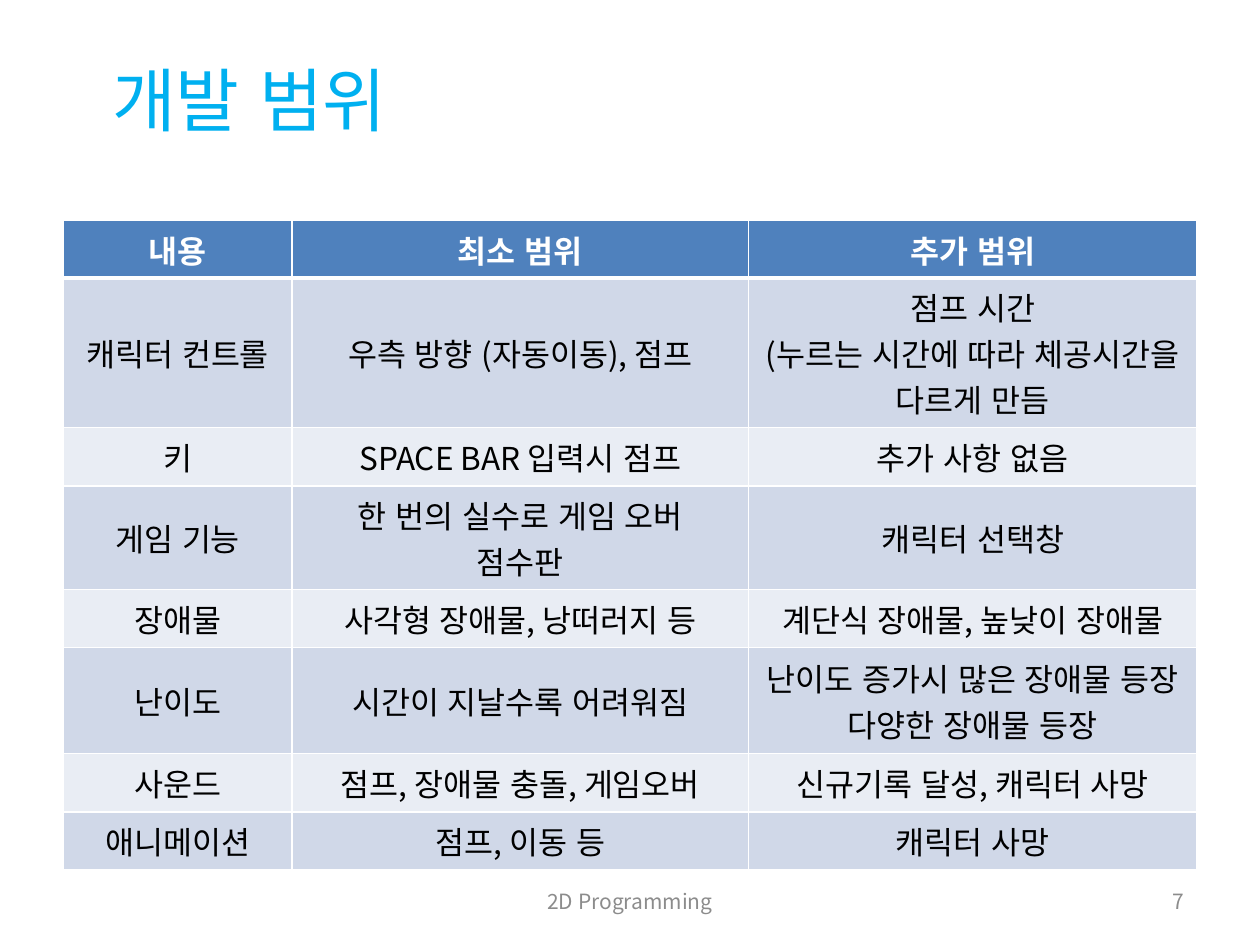
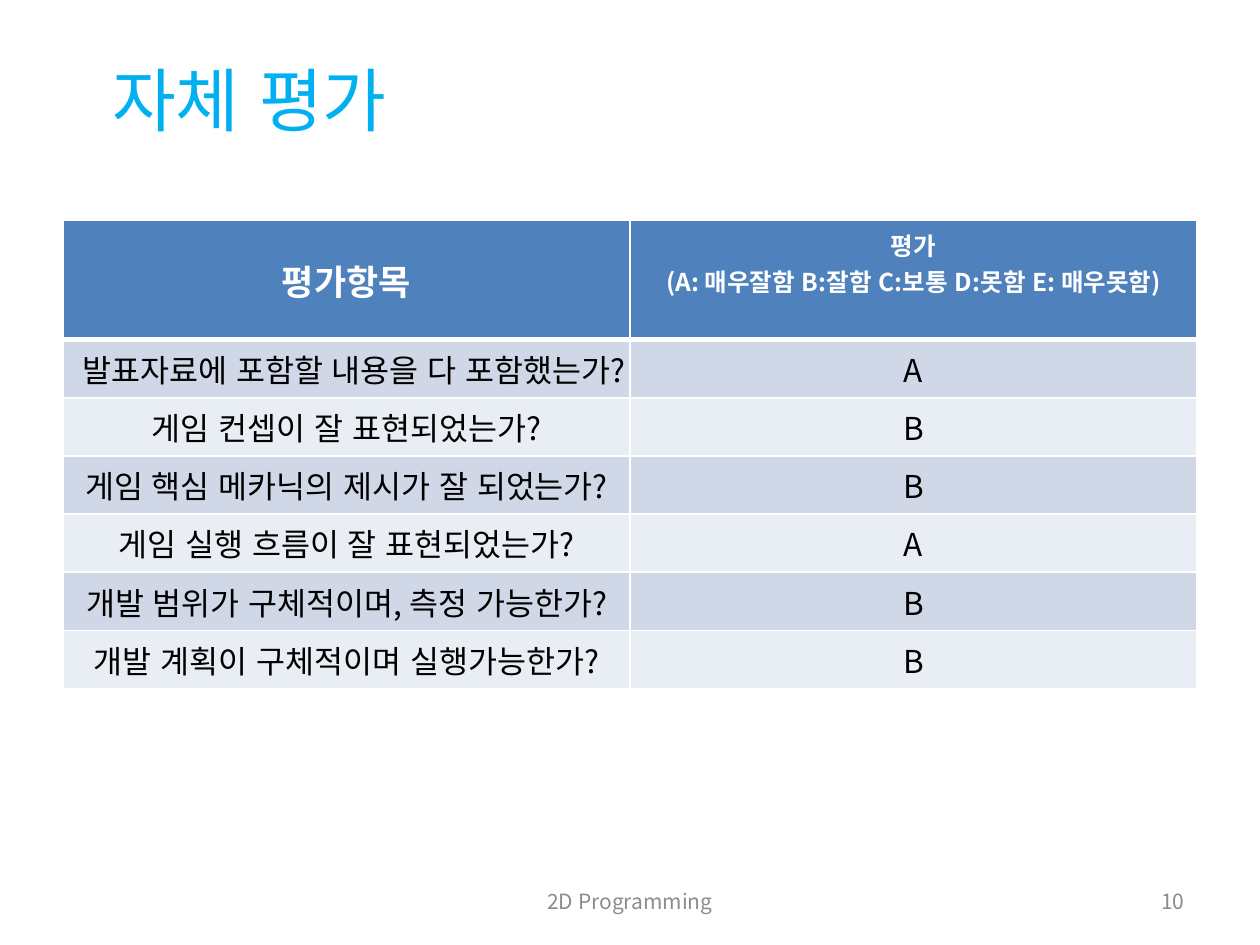
from dataclasses import dataclass

from pptx import Presentation, util as u
from pptx.dml import color
from pptx.enum import lang, text
from pptx.oxml import parse_xml
from pptx.oxml import ns

Pt = u.Pt
LEFT, CENTER, RIGHT = text.PP_ALIGN.LEFT, text.PP_ALIGN.CENTER, text.PP_ALIGN.RIGHT
MIDDLE, TOP = text.MSO_ANCHOR.MIDDLE, text.MSO_ANCHOR.TOP


@dataclass(frozen=True)
class Theme:
    font: str = "Noto Sans CJK KR"
    title: str = "00B0F0"
    footer: str = "8C8C8C"
    header: str = "4F81BD"
    bands: tuple = ("D0D8E8", "E9EDF4")
    white: str = "FFFFFF"
    black: str = "000000"
    title_size: float = 39.6
    body_size: float = 18
    footer_size: float = 12


theme = Theme()


def write(tf, lines, size=theme.body_size, fill=theme.black, bold=False, align=CENTER):
    """Write one paragraph for each line of text."""
    tf.word_wrap = True
    for i, line in enumerate(lines.split("\n")):
        p = tf.paragraphs[0] if i == 0 else tf.add_paragraph()
        p.alignment = align
        r = p.add_run()
        r.text = line
        r.font.name, r.font.size, r.font.bold = theme.font, Pt(size), bold
        r.font.language_id = lang.MSO_LANGUAGE_ID.KOREAN
        r.font.color.rgb = color.RGBColor.from_string(fill)
        # East Asian typeface, for the Hangul
        r.font._element.append(parse_xml(f'<a:ea {ns.nsdecls("a")} typeface="{theme.font}"/>'))


def borders(cell, **widths):
    """Draw white cell borders; call before the cell is filled."""
    tc_pr = cell._tc.get_or_add_tcPr()
    for side in "LRTB":
        tc_pr.append(parse_xml(
            f'<a:ln{side} {ns.nsdecls("a")} w="{Pt(widths.get(side, 1))}"><a:solidFill>'
            f'<a:srgbClr val="{theme.white}"/></a:solidFill></a:ln{side}>'))


# Slide content; header sizes are one per column
slides = [
    dict(
        title="개발 범위", number="7", cols=[131, 260.7, 256.3], margin=8.5,
        heights=[32.8, 85.6, 33.3, 59.2, 33.3, 60.5, 33.3, 33.2],
        header_sizes=[18, 18, 18], anchor=MIDDLE,
        rows=[
            ("내용", "최소 범위", "추가 범위"),
            ("캐릭터 컨트롤", "우측 방향 (자동이동), 점프",
             "점프 시간\n(누르는 시간에 따라 체공시간을 다르게 만듬"),
            ("키", "SPACE BAR 입력시 점프", "추가 사항 없음"),
            ("게임 기능", "한 번의 실수로 게임 오버\n점수판", "캐릭터 선택창"),
            ("장애물", "사각형 장애물, 낭떠러지 등", "계단식 장애물, 높낮이 장애물"),
            ("난이도", "시간이 지날수록 어려워짐",
             "난이도 증가시 많은 장애물 등장\n다양한 장애물 등장"),
            ("사운드", "점프, 장애물 충돌, 게임오버", "신규기록 달성, 캐릭터 사망"),
            ("애니메이션", "점프, 이동 등", "캐릭터 사망"),
        ]),
    dict(
        title="자체 평가", number="10", cols=[324, 324], margin=7.2,
        heights=[68.2] + [33.2] * 6, header_sizes=[20, 14], anchor=TOP,
        rows=[
            ("평가항목", "평가\n(A: 매우잘함 B:잘함 C:보통 D:못함 E: 매우못함)"),
            ("발표자료에 포함할 내용을 다 포함했는가?", "A"),
            ("게임 컨셉이 잘 표현되었는가?", "B"),
            ("게임 핵심 메카닉의 제시가 잘 되었는가?", "B"),
            ("게임 실행 흐름이 잘 표현되었는가?", "A"),
            ("개발 범위가 구체적이며, 측정 가능한가?", "B"),
            ("개발 계획이 구체적이며 실행가능한가?", "B"),
        ]),
]

prs = Presentation()
prs.slide_width, prs.slide_height = Pt(720), Pt(540)

for content in slides:
    s = prs.slides.add_slide(prs.slide_layouts[6])

    # Title, footer and slide number
    title_format = dict(size=theme.title_size, fill=theme.title, align=LEFT)
    footer_format = dict(size=theme.footer_size, fill=theme.footer)
    for label, box, style in [
        (content["title"], (57, 28, 648, 57), title_format),
        ("2D Programming", (246, 500.5, 228, 28.75), footer_format),
        (content["number"], (516, 500.5, 168, 28.75), dict(footer_format, align=RIGHT)),
    ]:
        tf = s.shapes.add_textbox(*map(Pt, box)).text_frame
        tf.vertical_anchor = MIDDLE
        write(tf, label, **style)

    # Table frame
    rows, cols, heights = content["rows"], content["cols"], content["heights"]
    table = s.shapes.add_table(len(rows), len(cols), Pt(36), Pt(126),
                               Pt(sum(cols)), Pt(sum(heights))).table
    for column, width in zip(table.columns, cols):
        column.width = Pt(width)
    for row, height in zip(table.rows, heights):
        row.height = Pt(height)

    # Header row, then banded body rows
    for i, row in enumerate(rows):
        for j, label in enumerate(row):
            cell = table.cell(i, j)
            borders(cell, B=3 if i == 0 else 1, T=3 if i == 1 else 1)
            cell.fill.solid()
            band = theme.header if i == 0 else theme.bands[(i - 1) % 2]
            cell.fill.fore_color.rgb = color.RGBColor.from_string(band)
            cell.vertical_anchor = MIDDLE if (i, j) == (0, 0) else content["anchor"]
            cell.margin_left = cell.margin_right = Pt(content["margin"])
            if i == 0:
                write(cell.text_frame, label, size=content["header_sizes"][j],
                      fill=theme.white, bold=True)
            else:
                write(cell.text_frame, label)

prs.save("out.pptx")
